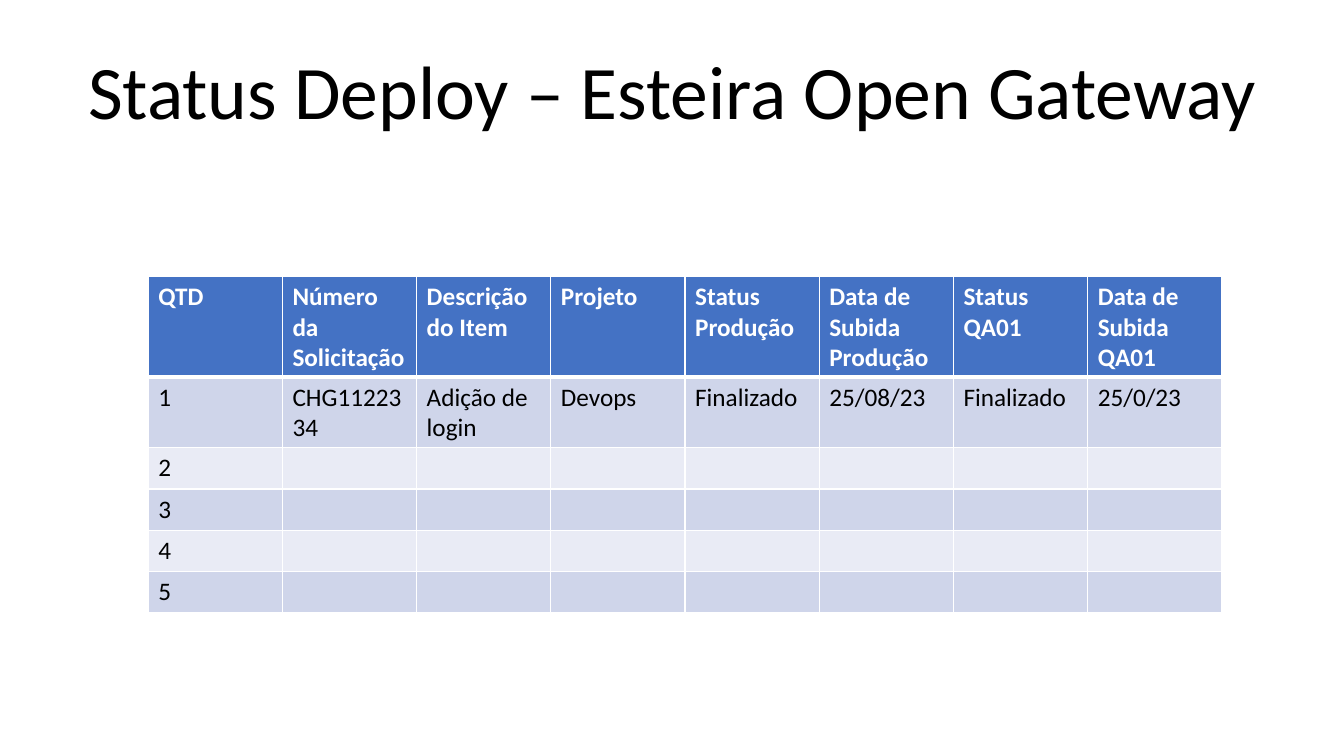
from dataclasses import dataclass

from lxml import etree
from pptx import Presentation
from pptx.dml.color import RGBColor
from pptx.enum.text import MSO_ANCHOR, MSO_AUTO_SIZE, PP_ALIGN
from pptx.oxml.ns import qn
from pptx.util import Inches, Pt

CENTER = PP_ALIGN.CENTER
MIDDLE = MSO_ANCHOR.MIDDLE
FIT_SHAPE = MSO_AUTO_SIZE.SHAPE_TO_FIT_TEXT
TITLE_ONLY = 5


@dataclass(frozen=True)
class Theme:
    font: str = "Calibri"
    title_size: int = 54
    table_size: int = 18
    text: str = "000000"
    header_text: str = "FFFFFF"
    header_fill: str = "4472C4"
    band_fills: tuple = ("CFD5EA", "E9EBF5")
    border: str = "FFFFFF"
    thin_line: int = 1
    thick_line: int = 3


THEME = Theme()
HEADERS = [
    "QTD", "Número da Solicitação", "Descrição do Item", "Projeto",
    "Status Produção", "Data de Subida Produção", "Status QA01",
    "Data de Subida QA01",
]
DEPLOYS = [["1", "CHG1122334", "Adição de login", "Devops",
            "Finalizado", "25/08/23", "Finalizado", "25/0/23"]]
DEPLOYS += [[str(number)] + [""] * (len(HEADERS) - 1) for number in range(2, 6)]
ROW_HEIGHTS = [0.99, 0.7] + [0.41] * 4


def style_font(font, size, color, bold=False):
    font.name = THEME.font
    font.size = Pt(size)
    font.bold = bold
    font.color.rgb = RGBColor.from_string(color)


def add_border(cell, side, width):
    line = etree.SubElement(cell._tc.get_or_add_tcPr(), qn(f"a:ln{side}"), w=str(Pt(width)))
    fill = etree.SubElement(line, qn("a:solidFill"))
    etree.SubElement(fill, qn("a:srgbClr"), val=THEME.border)


def format_cell(cell, text, row_index):
    is_header = row_index == 0
    widths = {
        "L": THEME.thin_line,
        "R": THEME.thin_line,
        "T": THEME.thick_line if row_index == 1 else THEME.thin_line,
        "B": THEME.thick_line if is_header else THEME.thin_line,
    }
    for side, width in widths.items():
        add_border(cell, side, width)
    fill = THEME.header_fill if is_header else THEME.band_fills[(row_index - 1) % 2]
    cell.fill.solid()
    cell.fill.fore_color.rgb = RGBColor.from_string(fill)
    cell.text = text
    color = THEME.header_text if is_header else THEME.text
    style_font(cell.text_frame.paragraphs[0].font, THEME.table_size, color, is_header)


def place_title(slide, text, left, top, width, height):
    title = slide.shapes.title
    title.left, title.top, title.width, title.height = map(Inches, (left, top, width, height))
    frame = title.text_frame
    frame.text = text
    frame.word_wrap = False
    frame.auto_size = FIT_SHAPE
    frame.vertical_anchor = MIDDLE
    paragraph = frame.paragraphs[0]
    paragraph.alignment = CENTER
    style_font(paragraph.font, THEME.title_size, THEME.text)


def add_deploy_table(slide, left, top, width, height):
    rows = [HEADERS] + DEPLOYS
    table = slide.shapes.add_table(
        len(rows), len(HEADERS), *map(Inches, (left, top, width, height))).table
    for column in table.columns:
        column.width = Inches(width / len(HEADERS))
    for row_index, texts in enumerate(rows):
        table.rows[row_index].height = Inches(ROW_HEIGHTS[row_index])
        for column_index, text in enumerate(texts):
            format_cell(table.cell(row_index, column_index), text, row_index)


def build_status_slide(presentation):
    slide = presentation.slides.add_slide(presentation.slide_layouts[TITLE_ONLY])
    place_title(slide, "Status Deploy – Esteira Open Gateway", 0.71, 0.38, 11.91, 1.01)
    add_deploy_table(slide, 1.47, 2.74, 10.65, sum(ROW_HEIGHTS))


presentation = Presentation()
presentation.slide_width = Inches(13.33)
presentation.slide_height = Inches(7.5)
build_status_slide(presentation)
presentation.save("out.pptx")
